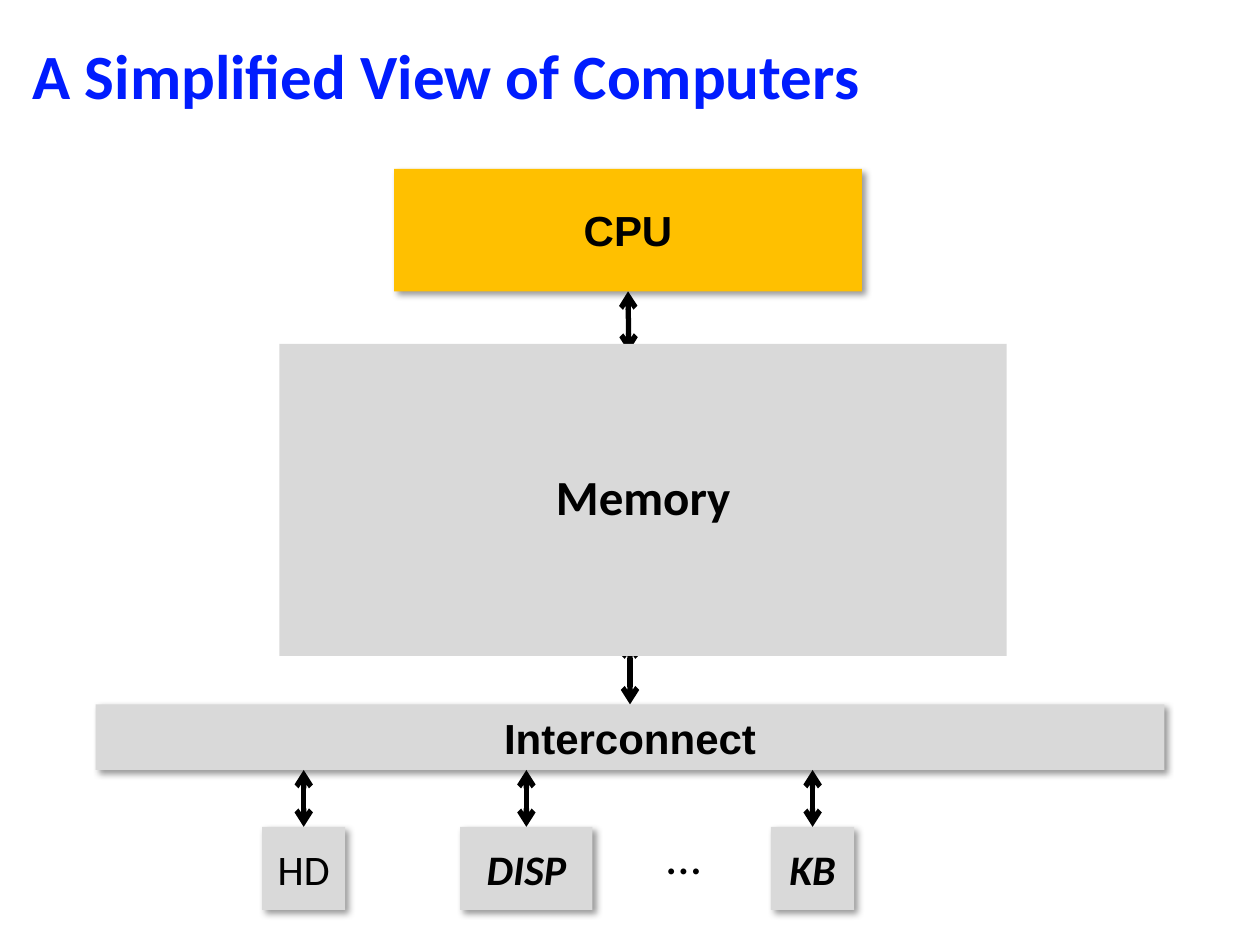
import pptx
import pptx.util
import pptx.dml.color
import pptx.enum.shapes
import pptx.enum.text
import pptx.oxml
import pptx.oxml.ns
from dataclasses import dataclass

Pt = pptx.util.Pt
RGB = pptx.dml.color.RGBColor.from_string
PP_ALIGN = pptx.enum.text.PP_ALIGN
ANCHOR = pptx.enum.text.MSO_ANCHOR
RECTANGLE = pptx.enum.shapes.MSO_SHAPE.RECTANGLE
STRAIGHT = pptx.enum.shapes.MSO_CONNECTOR.STRAIGHT
NS = pptx.oxml.ns.nsdecls("a")


@dataclass
class Theme:
    title: str = "001CFE"
    ink: str = "000000"
    cpu: str = "FFC000"
    block: str = "D9D9D9"
    title_size: int = 36
    large: int = 28
    label: int = 24
    font: str = "Calibri"
    strong_font: str = "Arial"


theme = Theme()
SHADOW = (
    f'<a:effectLst {NS}><a:outerShdw blurRad="50800" dist="38100" dir="2700000" algn="tl" rotWithShape="0">'
    '<a:srgbClr val="000000"><a:alpha val="40000"/></a:srgbClr></a:outerShdw></a:effectLst>'
)

deck = pptx.Presentation()
deck.slide_width, deck.slide_height = Pt(720), Pt(540)
slide = deck.slides.add_slide(deck.slide_layouts[6])


def write(part, text, size, font, color=theme.ink, bold=False, italic=False, align=PP_ALIGN.CENTER):
    part.text_frame.vertical_anchor = ANCHOR.MIDDLE
    paragraph = part.text_frame.paragraphs[0]
    paragraph.alignment = align
    run = paragraph.add_run()
    run.text = text
    run.font.size, run.font.name = Pt(size), font
    run.font.bold, run.font.italic = bold, italic
    run.font.color.rgb = RGB(color)


def add_block(left, top, width, height, fill, shadow=True):
    block = slide.shapes.add_shape(RECTANGLE, Pt(left), Pt(top), Pt(width), Pt(height))
    block.fill.solid()
    block.fill.fore_color.rgb = RGB(fill)
    block.line.fill.background()
    block.shadow.inherit = False
    if shadow:
        properties = block._element.spPr
        properties.remove(properties.find(pptx.oxml.ns.qn("a:effectLst")))
        properties.append(pptx.oxml.parse_xml(SHADOW))
    return block


heading = slide.shapes.add_textbox(Pt(11.5), Pt(10.8), Pt(697), Pt(69.8))
heading.text_frame.word_wrap = True
write(heading, "A Simplified View of Computers", theme.title_size, theme.font,
      theme.title, bold=True, align=PP_ALIGN.LEFT)
heading.text_frame.paragraphs[0].line_spacing = 0.87

cpu = add_block(225.3, 96.5, 267.2, 70, theme.cpu)
interconnect = add_block(54.7, 402.5, 610.6, 37.5, theme.block)
for unit, name in ((cpu, "CPU"), (interconnect, "Interconnect")):
    unit.text_frame.word_wrap = False
    write(unit, name, theme.label, theme.strong_font, bold=True)

links = [
    (359, 166.5, 359.3, 201, cpu, None),
    (360, 366, 360, 402.5, None, interconnect),
]
for name, left, width, emphasis in (
    ("HD", 149.8, 47.5, False),
    ("DISP", 263, 75.6, True),
    ("KB", 440.6, 47.5, True),
):
    device = add_block(left, 472.5, width, 47.5, theme.block)
    device.text_frame.word_wrap = False
    write(device, name, theme.label, theme.font, bold=emphasis, italic=emphasis)
    center = left + width / 2
    links.append((center, 440, center, 472.5, None, device))

for x1, y1, x2, y2, source, target in links:
    link = slide.shapes.add_connector(STRAIGHT, Pt(x1), Pt(y1), Pt(x2), Pt(y2))
    if source:
        link.begin_connect(source, 2)
    if target:
        link.end_connect(target, 0)
    link.line.color.rgb = RGB(theme.ink)
    link.line.width = Pt(3)
    for end in ("headEnd", "tailEnd"):
        link.line._get_or_add_ln().append(pptx.oxml.parse_xml(f'<a:{end} {NS} type="arrow"/>'))
    link._element.spPr.append(pptx.oxml.parse_xml(f"<a:effectLst {NS}/>"))

more_devices = slide.shapes.add_textbox(Pt(373), Pt(468), Pt(36), Pt(41))
more_devices.text_frame.word_wrap = False
write(more_devices, "...", theme.large, theme.font, align=PP_ALIGN.LEFT)

memory = add_block(159.7, 196.5, 415.6, 178.3, theme.block, shadow=False)
write(memory, "Memory", theme.large, theme.font, bold=True)
memory.text_frame.paragraphs[0].line_spacing = 0.9

deck.save("out.pptx")
